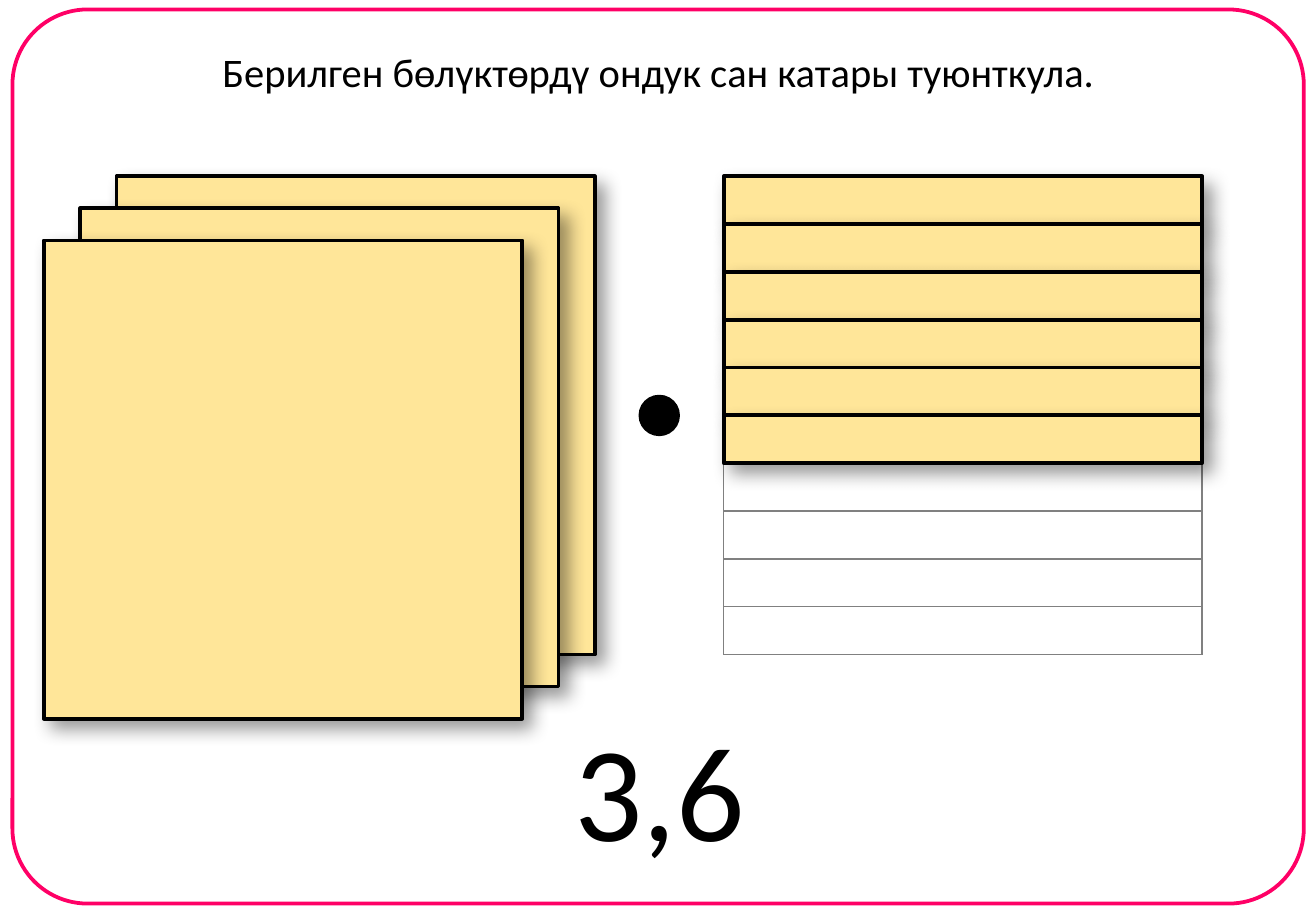
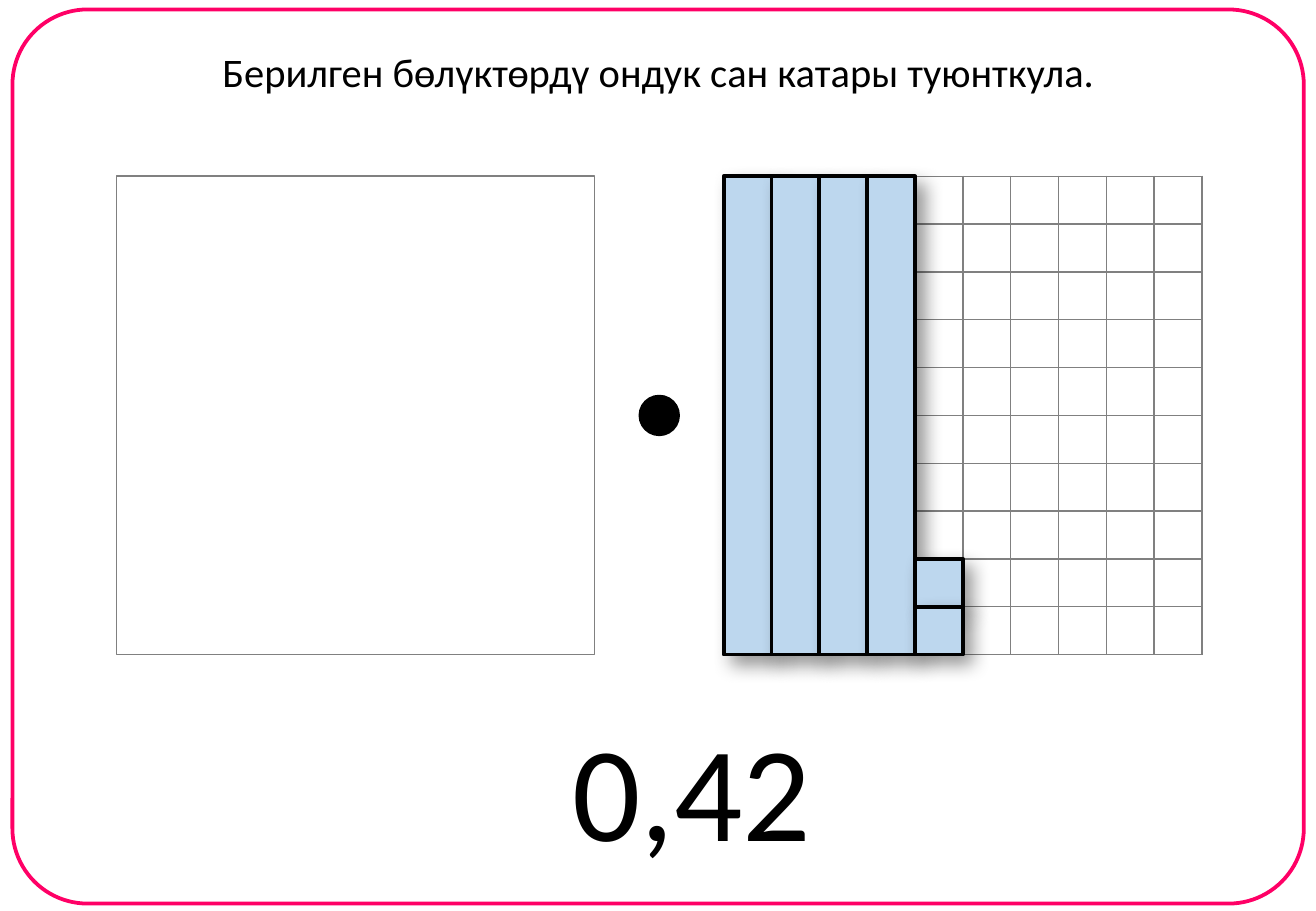
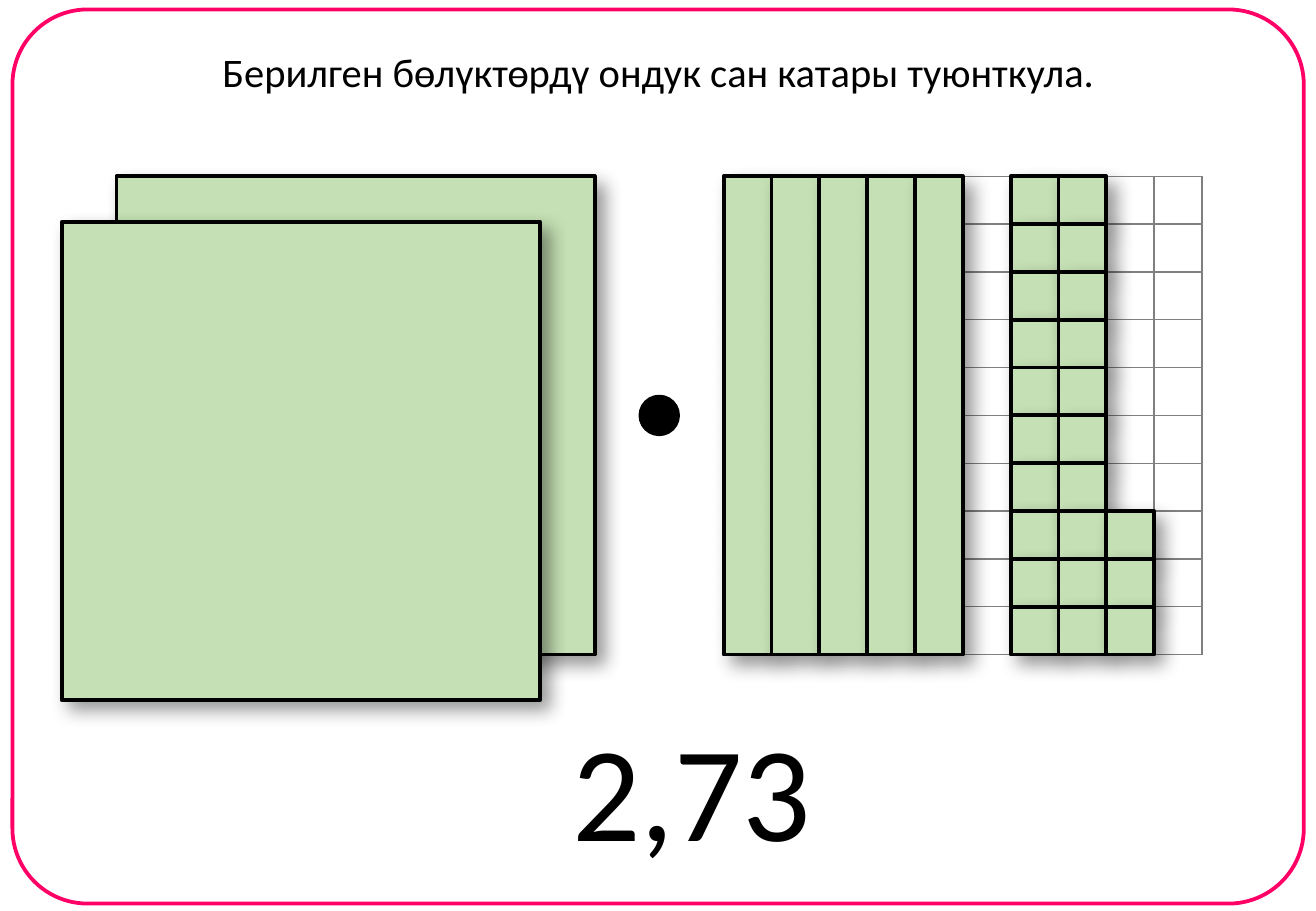
"""Three cards that show decimal numbers as whole squares, tenths and hundredths."""
from lxml.etree import SubElement
from pptx import Presentation
from pptx.dml.color import RGBColor
from pptx.enum.shapes import MSO_SHAPE as Shape
from pptx.enum.text import MSO_AUTO_SIZE as AutoSize, PP_ALIGN as Align
from pptx.oxml.ns import qn
from pptx.util import Pt

COLORS = {"frame": "FF0066", "ink": "000000", "grid": "808080", "paper": "FFFFFF",
          "yellow": "FFE699", "blue": "BDD7EE", "green": "C5E0B4"}
FONT = "Calibri"
TASK = "Берилген бөлүктөрдү ондук сан катары туюнткула."
CELL = 28.35
WHOLE = 10 * CELL
WHOLE_LEFT, GRID_LEFT, TOP = 69, 429, 104.5
DOT = 22.3
DOT_LEFT = (WHOLE_LEFT + WHOLE + GRID_LEFT - DOT) / 2
DOT_TOP = TOP + (WHOLE - DOT) / 2

CARDS = [
    {"answer": "3,6", "answer_box": (332.6, 116.6), "color": "yellow",
     "wholes": 3, "step": (21.5, 19), "joined_rows": range(6, 10),
     "parts": [(0, row, 10, 1) for row in range(6)]},
    {"answer": "0,42", "answer_box": (331.2, 157.7), "color": "blue",
     "wholes": 0, "step": (0, 0), "joined_rows": [],
     "parts": [(column, 0, 1, 10) for column in range(4)]
     + [(4, row, 1, 1) for row in (8, 9)]},
    {"answer": "2,73", "answer_box": (331.2, 157.7), "color": "green",
     "wholes": 2, "step": (32.4, 27), "joined_rows": [],
     "parts": [(column, 0, 1, 10) for column in range(5)]
     + [(column, row, 1, 1) for column in (6, 7) for row in range(10)]
     + [(8, row, 1, 1) for row in (7, 8, 9)]},
]


def add_figure(slide, kind, box, fill, line="ink", weight=2.25, shadow=False):
    figure = slide.shapes.add_shape(kind, *[Pt(value) for value in box])
    figure.shadow.inherit = False
    if fill:
        figure.fill.solid()
        figure.fill.fore_color.rgb = RGBColor.from_string(COLORS[fill])
    else:
        figure.fill.background()
    figure.line.color.rgb = RGBColor.from_string(COLORS[line])
    figure.line.width = Pt(weight)
    if shadow:
        effects = figure._element.spPr.find(qn("a:effectLst"))
        outer = SubElement(effects, qn("a:outerShdw"), blurRad=str(Pt(11)), dist=str(Pt(7)),
                           dir="2700000", algn="tl", rotWithShape="0")
        ink = SubElement(outer, qn("a:srgbClr"), val=COLORS["ink"])
        SubElement(ink, qn("a:alpha"), val="40000")
    return figure


def add_label(slide, text, box, size):
    label = slide.shapes.add_textbox(*[Pt(value) for value in box])
    label.text_frame.word_wrap = False
    label.text_frame.auto_size = AutoSize.SHAPE_TO_FIT_TEXT
    paragraph = label.text_frame.paragraphs[0]
    paragraph.alignment = Align.CENTER
    run = paragraph.add_run()
    run.text = text
    run.font.name = FONT
    run.font.size = Pt(size)
    run.font.color.rgb = RGBColor.from_string(COLORS["ink"])


deck = Presentation()
deck.slide_width, deck.slide_height = Pt(780), Pt(540)

for card in CARDS:
    slide = deck.slides.add_slide(deck.slide_layouts[6])
    frame = add_figure(slide, Shape.ROUNDED_RECTANGLE, (7.4, 5.6, 765.4, 530), None, "frame")
    frame.adjustments[0] = 0.084

    grid = slide.shapes.add_table(10, 10, Pt(GRID_LEFT), Pt(TOP), Pt(WHOLE), Pt(WHOLE)).table
    grid.first_row = grid.horz_banding = False
    for band in [*grid.columns]:
        band.width = Pt(CELL)
    for band in grid.rows:
        band.height = Pt(CELL)
    for cell in grid.iter_cells():
        cell.margin_left = cell.margin_right = cell.margin_top = cell.margin_bottom = 0
        properties = cell._tc.get_or_add_tcPr()
        for side in ("a:lnL", "a:lnR", "a:lnT", "a:lnB"):
            border = SubElement(properties, qn(side), w=str(Pt(1)))
            SubElement(SubElement(border, qn("a:solidFill")), qn("a:srgbClr"), val=COLORS["grid"])
        cell.fill.solid()
        cell.fill.fore_color.rgb = RGBColor.from_string(COLORS["paper"])
    for row in card["joined_rows"]:
        grid.cell(row, 0).merge(grid.cell(row, 9))

    if not card["wholes"]:
        add_figure(slide, Shape.RECTANGLE, (WHOLE_LEFT, TOP, WHOLE, WHOLE), "paper", "grid", 1)
    step_left, step_down = card["step"]
    for index in range(card["wholes"]):
        box = (WHOLE_LEFT - index * step_left, TOP + index * step_down, WHOLE, WHOLE)
        add_figure(slide, Shape.RECTANGLE, box, card["color"], shadow=True)
    for column, row, columns, rows in card["parts"]:
        box = (GRID_LEFT + column * CELL, TOP + row * CELL, columns * CELL, rows * CELL)
        add_figure(slide, Shape.RECTANGLE, box, card["color"], shadow=True)

    add_figure(slide, Shape.OVAL, (DOT_LEFT, DOT_TOP, DOT, DOT), "ink")
    answer_left, answer_width = card["answer_box"]
    add_label(slide, card["answer"], (answer_left, 415.4, answer_width, 104.4), 80)
    add_label(slide, TASK, (121.7, 24.5, 537.1, 36), 24)

deck.save("out.pptx")
